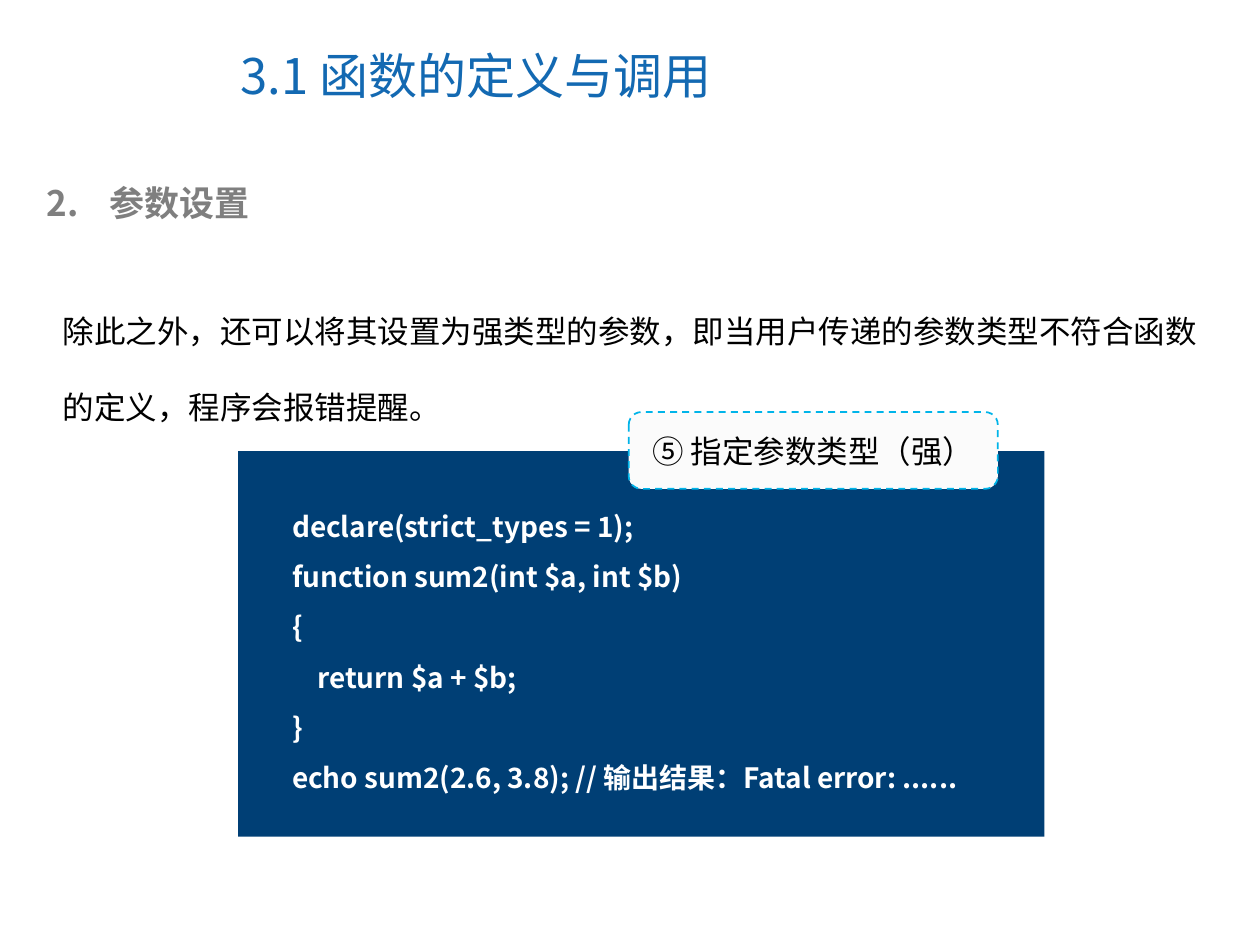
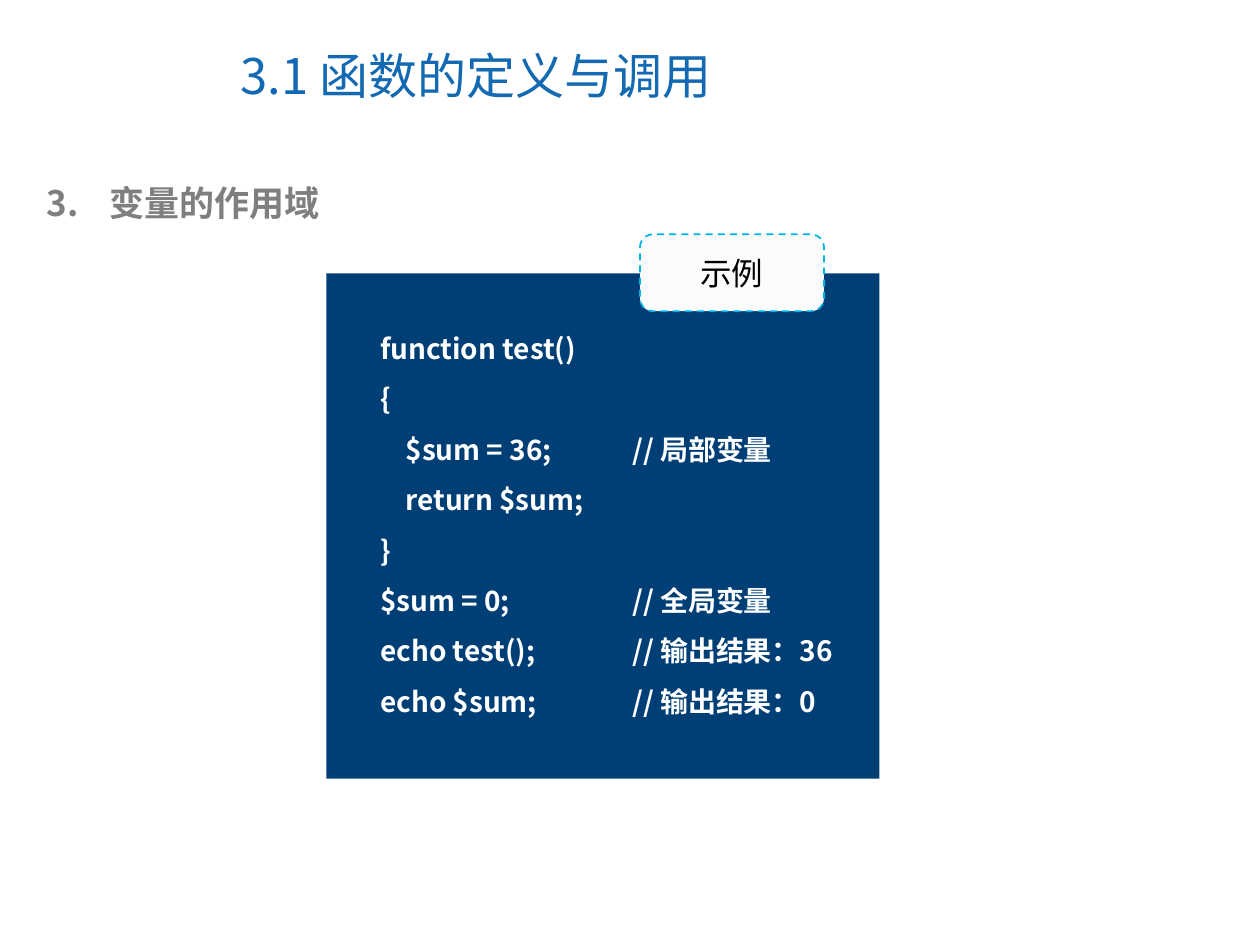
from lxml import etree
from pptx import Presentation
from pptx import util as u
from pptx.dml.color import RGBColor
from pptx.enum import dml, shapes, text
from pptx.oxml.ns import qn

COLORS = {
    "title": "1369B2", "heading": "7F7F7F", "body": "000000",
    "panel": "003F75", "code": "FFFFFF", "tag": "FBFBFB", "tag_line": "00B4E9",
}
SANS = "Noto Sans CJK SC"
LATIN = "Arial"
CHAPTER = "3.1 函数的定义与调用"

STRICT_TYPES_CODE = """declare(strict_types = 1);
function sum2(int $a, int $b)
{
    return $a + $b;
}
echo sum2(2.6, 3.8); // 输出结果：Fatal error: ......"""

SCOPE_CODE = """function test()
{
    $sum = 36;\t// 局部变量
    return $sum;
}
$sum = 0;\t// 全局变量
echo test();\t// 输出结果：36
echo $sum;\t// 输出结果：0"""


def color(name):
    return RGBColor.from_string(COLORS[name])


def place(shape, box):
    shape.left, shape.top, shape.width, shape.height = map(u.Inches, box)


def write(shape, content, size, color_name, font=SANS, bold=False,
          align=text.PP_ALIGN.LEFT, spacing=1.0, anchor=text.MSO_ANCHOR.TOP):
    frame = shape.text_frame
    frame.text = content
    frame.word_wrap = True
    frame.auto_size = text.MSO_AUTO_SIZE.NONE
    frame.vertical_anchor = anchor
    for paragraph in frame.paragraphs:
        paragraph.alignment = align
        paragraph.line_spacing = spacing
        paragraph.space_before = u.Pt(0)
        for run in paragraph.runs:
            run.font.size = u.Pt(size)
            run.font.bold = bold
            run.font.name = font
            run.font.color.rgb = color(color_name)
            east_asian = etree.SubElement(run._r.get_or_add_rPr(), qn("a:ea"))
            east_asian.set("typeface", SANS)


def add_filled(slide, preset, box, fill):
    shape = slide.shapes.add_shape(preset, *map(u.Inches, box))
    shape.shadow.inherit = False
    shape.fill.solid()
    shape.fill.fore_color.rgb = color(fill)
    shape.line.fill.background()
    return shape


def number_paragraph(paragraph, start):
    properties = paragraph._p.get_or_add_pPr()
    properties.set("marL", str(u.Inches(0.5)))
    properties.set("indent", str(-u.Inches(0.5)))
    bullet_color = etree.SubElement(properties, qn("a:buClr"))
    etree.SubElement(bullet_color, qn("a:srgbClr")).set("val", COLORS["heading"])
    etree.SubElement(properties, qn("a:buFontTx"))
    numbering = etree.SubElement(properties, qn("a:buAutoNum"))
    numbering.set("type", "arabicPeriod")
    numbering.set("startAt", str(start))


def add_topic_slide(presentation, number, heading):
    """Slide with the chapter title and a numbered heading."""
    slide = presentation.slides.add_slide(presentation.slide_layouts[1])
    title, body = slide.shapes.title, slide.placeholders[1]
    place(title, (1.81, 0.17, 5.16, 0.85))
    write(title, CHAPTER, 28, "title", anchor=text.MSO_ANCHOR.MIDDLE)
    place(body, (0.27, 1.39, 9.22, 0.44))
    write(body, heading, 20, "heading", bold=True)
    number_paragraph(body.text_frame.paragraphs[0], number)
    return slide


def add_explanation(slide, box, content):
    textbox = slide.shapes.add_textbox(*map(u.Inches, box))
    write(textbox, content, 18, "body", font=LATIN, spacing=2.0)


def add_code_panel(slide, box, code, label, label_offset, label_width):
    """Code on a dark panel, with a dashed tag straddling its top edge."""
    left, top, width, height = box
    add_filled(slide, shapes.MSO_SHAPE.RECTANGLE, box, "panel")

    # Code lines, with trailing comments aligned on one tab stop
    listing = slide.shapes.add_textbox(*map(u.Inches, (
        left + 0.33, top + 0.28, width - 0.34, height - 0.56)))
    write(listing, code, 16, "code", bold=True, spacing=1.5)
    for paragraph in listing.text_frame.paragraphs:
        tabs = etree.SubElement(paragraph._p.get_or_add_pPr(), qn("a:tabLst"))
        etree.SubElement(tabs, qn("a:tab"), pos=str(u.Inches(2)), algn="l")

    # Tag
    tag = add_filled(slide, shapes.MSO_SHAPE.ROUNDED_RECTANGLE,
                     (left + label_offset, top - 0.31, label_width, 0.61), "tag")
    tag.line.color.rgb = color("tag_line")
    tag.line.width = u.Pt(1)
    tag.line.dash_style = dml.MSO_LINE.DASH
    write(tag, label, 18, "body", font=LATIN, align=text.PP_ALIGN.CENTER,
          anchor=text.MSO_ANCHOR.MIDDLE)


def main():
    presentation = Presentation()
    presentation.slide_width = u.Inches(10)
    presentation.slide_height = u.Inches(7.5)

    # Strongly typed parameters
    slide = add_topic_slide(presentation, 2, "参数设置")
    add_explanation(slide, (0.4, 2.13, 9.4, 1.3),
                    "除此之外，还可以将其设置为强类型的参数，即当用户传递的参数类型"
                    "不符合函数的定义，程序会报错提醒。")
    add_code_panel(slide, (1.89, 3.58, 6.4, 3.06), STRICT_TYPES_CODE,
                   "⑤ 指定参数类型（强）", 3.1, 2.93)

    # Variable scope
    slide = add_topic_slide(presentation, 3, "变量的作用域")
    add_code_panel(slide, (2.59, 2.17, 4.39, 4.01), SCOPE_CODE,
                   "示例", 2.49, 1.46)

    presentation.save("out.pptx")


if __name__ == "__main__":
    main()
